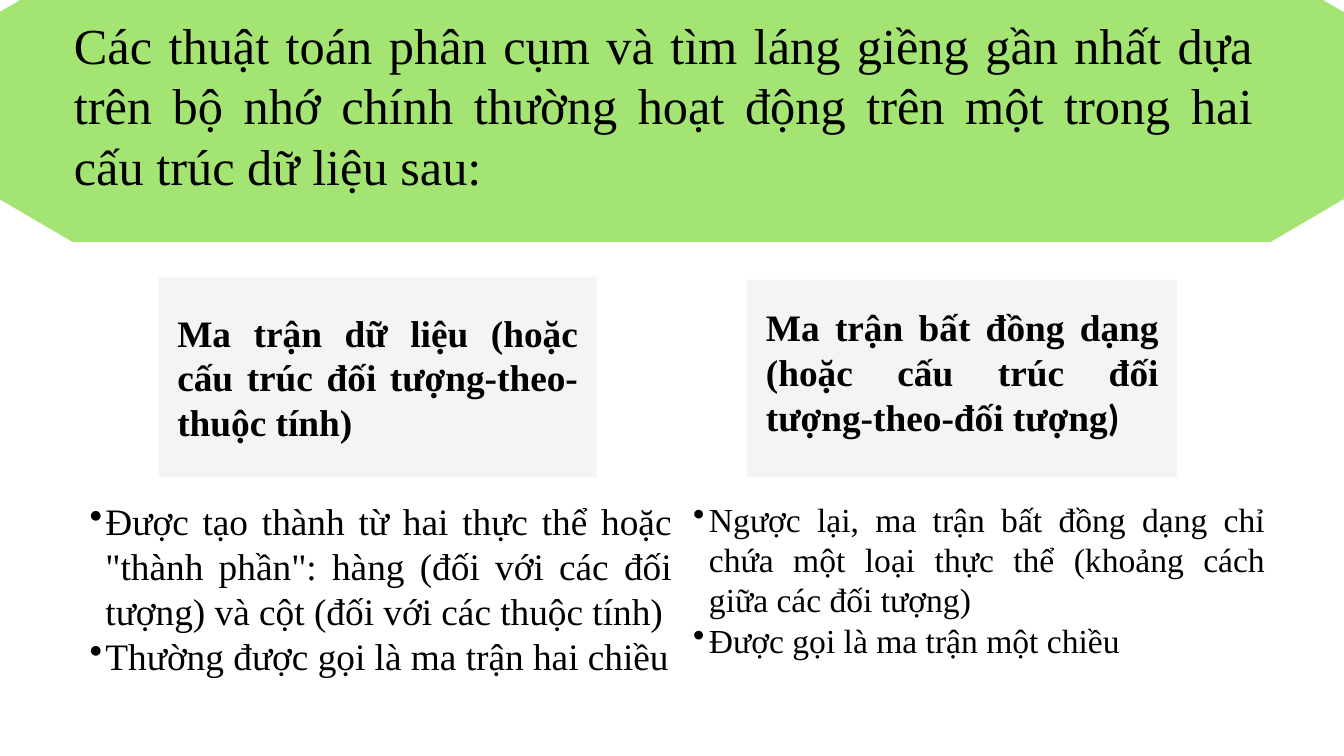
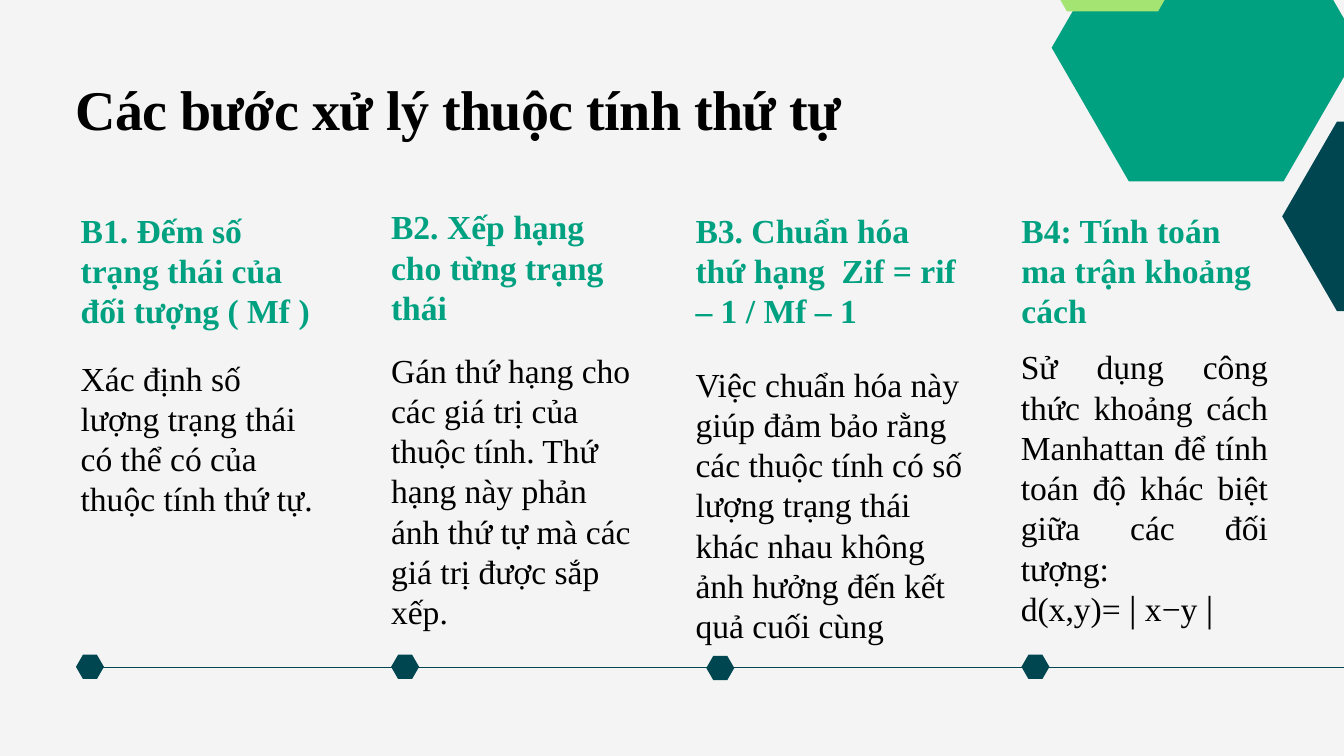
from dataclasses import dataclass

import lxml.etree
import pptx
import pptx.dml.color
import pptx.enum.shapes
import pptx.enum.text
import pptx.oxml.ns
import pptx.util

Pt = pptx.util.Pt
ALIGN = pptx.enum.text.PP_ALIGN
ANCHOR = pptx.enum.text.MSO_ANCHOR
AUTO_SIZE = pptx.enum.text.MSO_AUTO_SIZE

# Shared look
WIDTH, HEIGHT = 1440, 810
SERIF, SANS = "Times New Roman", "Calibri"
BLACK, WHITE, GREY = "000000", "FFFFFF", "F4F4F4"
LIME, GREEN, TEAL = "A4E473", "00A181", "004651"


@dataclass(frozen=True)
class Box:
    left: float
    top: float
    width: float
    height: float


@dataclass(frozen=True)
class Style:
    size: float
    color: str = BLACK
    bold: bool = False
    align: ALIGN = ALIGN.LEFT
    line_spacing: float | None = None
    tracking: float = 0
    bullet: bool = False
    inset: float = 0
    anchor: ANCHOR = ANCHOR.TOP
    auto_size: AUTO_SIZE = AUTO_SIZE.SHAPE_TO_FIT_TEXT


@dataclass(frozen=True)
class Run:
    text: str
    font: str = SERIF


@dataclass(frozen=True)
class Hexagon:
    box: Box
    color: str
    corner: float = 0.25  # share of the width taken by each slanted side


@dataclass(frozen=True)
class Structure:
    card: Box
    label_box: Box
    label: tuple[Run, ...]
    points_box: Box
    points_style: Style
    points: tuple[str, ...]


@dataclass(frozen=True)
class Step:
    heading_box: Box
    heading: str
    body_box: Box
    body: str
    body_style: Style
    marker_top: float = 701.5


INTRO = Style(54, align=ALIGN.JUSTIFY)
LABEL = Style(40, bold=True, align=ALIGN.JUSTIFY, inset=20,
              anchor=ANCHOR.MIDDLE, auto_size=AUTO_SIZE.NONE)
POINTS_LARGE = Style(40, align=ALIGN.JUSTIFY, bullet=True)
POINTS_SMALL = Style(36, align=ALIGN.JUSTIFY, bullet=True)
TITLE = Style(60, bold=True, line_spacing=72, tracking=-0.6)
HEADING = Style(36, GREEN, bold=True, line_spacing=43.2)
BODY = Style(36)
BODY_JUSTIFIED = Style(36, align=ALIGN.JUSTIFY)


def rgb(color: str) -> pptx.dml.color.RGBColor:
    return pptx.dml.color.RGBColor.from_string(color)


def apply(target, values: dict) -> None:
    for name, value in values.items():
        setattr(target, name, value)


def place(box: Box) -> tuple:
    return Pt(box.left), Pt(box.top), Pt(box.width), Pt(box.height)


def paint(shape, color: str) -> None:
    shape.shadow.inherit = False
    shape.fill.solid()
    shape.fill.fore_color.rgb = rgb(color)
    shape.line.fill.background()


def new_slide(deck, background: str):
    slide = deck.slides.add_slide(deck.slide_layouts[6])
    slide.background.fill.solid()
    slide.background.fill.fore_color.rgb = rgb(background)
    return slide


def add_bullet(paragraph) -> None:
    properties = paragraph._p.get_or_add_pPr()
    properties.set("marL", str(Pt(33.8)))
    properties.set("indent", str(-Pt(16.9)))
    mark = lxml.etree.SubElement(properties, pptx.oxml.ns.qn("a:buChar"))
    mark.set("char", "•")


def write(frame, paragraphs: list[tuple[Run, ...]], style: Style) -> None:
    margins = ("margin_left", "margin_top", "margin_right", "margin_bottom")
    apply(frame, dict.fromkeys(margins, Pt(style.inset)))
    apply(frame, {"word_wrap": True, "auto_size": style.auto_size,
                  "vertical_anchor": style.anchor})
    for index, runs in enumerate(paragraphs):
        paragraph = frame.add_paragraph() if index else frame.paragraphs[0]
        paragraph.alignment = style.align
        if style.line_spacing:
            paragraph.line_spacing = Pt(style.line_spacing)
        if style.bullet:
            add_bullet(paragraph)
        for part in runs:
            run = paragraph.add_run()
            run.text = part.text
            apply(run.font, {"name": part.font, "size": Pt(style.size), "bold": style.bold})
            run.font.color.rgb = rgb(style.color)
            if style.tracking:
                run.font._element.set("spc", str(round(style.tracking * 100)))


def add_text(slide, box: Box, style: Style, *runs: Run) -> None:
    write(slide.shapes.add_textbox(*place(box)).text_frame, [runs], style)


def add_panel(slide, box: Box, color: str):
    panel = slide.shapes.add_shape(pptx.enum.shapes.MSO_SHAPE.RECTANGLE, *place(box))
    paint(panel, color)
    return panel


def add_hexagon(slide, hexagon: Hexagon) -> None:
    box = hexagon.box
    right, bottom = box.left + box.width, box.top + box.height
    middle, slant = box.top + box.height / 2, box.width * hexagon.corner
    builder = slide.shapes.build_freeform(Pt(right), Pt(middle))
    builder.add_line_segments([(Pt(x), Pt(y)) for x, y in (
        (right - slant, bottom), (box.left + slant, bottom), (box.left, middle),
        (box.left + slant, box.top), (right - slant, box.top))])
    paint(builder.convert_to_shape(), hexagon.color)


def add_timeline(slide, left: float, y: float) -> None:
    timeline = slide.shapes.add_connector(
        pptx.enum.shapes.MSO_CONNECTOR.STRAIGHT, Pt(left), Pt(y), Pt(WIDTH), Pt(y))
    timeline.line.color.rgb = rgb(TEAL)
    timeline.line.width = Pt(1.5)
    lxml.etree.SubElement(timeline._element.spPr, pptx.oxml.ns.qn("a:effectLst"))


# Slide 1: the two data structures
BAND = Hexagon(Box(-171.4, -33.1, 1782, 292.6), LIME, corner=0.14)
STRUCTURES = (
    Structure(
        Box(169.9, 296.6, 469.4, 214.6), Box(169.9, 288.7, 469.4, 230.4),
        (Run("Ma trận dữ liệu (hoặc cấu trúc đối tượng-theo-thuộc tính)"),),
        Box(79.2, 534.2, 640.8, 193.7), POINTS_LARGE,
        ('Được tạo thành từ hai thực thể hoặc "thành phần": hàng (đối với các '
         "đối tượng) và cột (đối với các thuộc tính)",
         "Thường được gọi là ma trận hai chiều")),
    Structure(
        Box(800.6, 299.5, 460.8, 211.7), Box(800.6, 284.4, 460.8, 226.8),
        (Run("Ma trận bất đồng dạng (hoặc cấu trúc đối tượng-theo-đối tượng"),
         Run(")", SANS)),
        Box(725.8, 534.2, 630, 174.2), POINTS_SMALL,
        ("Ngược lại, ma trận bất đồng dạng chỉ chứa một loại thực thể "
         "(khoảng cách giữa các đối tượng)",
         "Được gọi là ma trận một chiều")),
)


def build_structures(deck) -> None:
    slide = new_slide(deck, WHITE)
    add_hexagon(slide, BAND)
    add_text(slide, Box(79.2, 15.1, 1264.3, 196.6), INTRO, Run(
        "Các thuật toán phân cụm và tìm láng giềng gần nhất dựa trên bộ nhớ chính "
        "thường hoạt động trên một trong hai cấu trúc dữ liệu sau:"))
    for structure in STRUCTURES:
        add_panel(slide, structure.card, GREY)
        add_text(slide, structure.label_box, LABEL, *structure.label)
        points = add_panel(slide, structure.points_box, WHITE)
        write(points.text_frame, [(Run(point),) for point in structure.points],
              structure.points_style)


# Slide 2: the four steps
CORNER_HEXAGONS = (
    Hexagon(Box(1373.8, 130.3, 234.7, 203), TEAL),
    Hexagon(Box(1126.8, -92.2, 331.2, 286.6), GREEN),
    Hexagon(Box(1094.4, -157, 195.1, 169.2), LIME),
)
MARKER_LEFT, MARKER_STEP = 81.4, 337.68
STEPS = (
    Step(Box(86.4, 224.6, 265, 130.3), "B1. Đếm số trạng thái của đối tượng ( Mf )",
         Box(86.4, 383, 265, 198.7),
         "Xác định số lượng trạng thái có thể có của thuộc tính thứ tự.", BODY),
    Step(Box(419, 221, 265, 173.5), "B2. Xếp hạng cho từng trạng thái",
         Box(419, 374.4, 265, 331.2),
         "Gán thứ hạng cho các giá trị của thuộc tính. Thứ hạng này phản ánh "
         "thứ tự mà các giá trị được sắp xếp.", BODY),
    Step(Box(745.2, 224.6, 286.6, 173.5), "B3. Chuẩn hóa thứ hạng  Zif = rif – 1 / Mf – 1",
         Box(745.2, 389.4, 286.6, 305.4),
         "Việc chuẩn hóa này giúp đảm bảo rằng các thuộc tính có số lượng trạng thái "
         "khác nhau không ảnh hưởng đến kết quả cuối cùng", BODY, marker_top=702.7),
    Step(Box(1094.4, 224.6, 265, 135.4), "B4: Tính toán ma trận khoảng cách",
         Box(1093.7, 370.8, 265, 334.8),
         "Sử dụng công thức khoảng cách Manhattan để tính toán độ khác biệt "
         "giữa các đối tượng: d(x,y)=∣x−y∣", BODY_JUSTIFIED),
)


def build_steps(deck) -> None:
    slide = new_slide(deck, GREY)
    add_timeline(slide, 100, 715)
    add_text(slide, Box(80.6, 79.9, 913.7, 72.7), TITLE,
             Run("Các bước xử lý thuộc tính thứ tự"))
    for index, step in enumerate(STEPS):
        add_text(slide, step.heading_box, HEADING, Run(step.heading))
        add_text(slide, step.body_box, step.body_style, Run(step.body))
        marker = Box(MARKER_LEFT + index * MARKER_STEP, step.marker_top, 30, 26)
        add_hexagon(slide, Hexagon(marker, TEAL))
    for hexagon in CORNER_HEXAGONS:
        add_hexagon(slide, hexagon)


def main() -> None:
    deck = pptx.Presentation()
    apply(deck, {"slide_width": Pt(WIDTH), "slide_height": Pt(HEIGHT)})
    build_structures(deck)
    build_steps(deck)
    deck.save("out.pptx")


if __name__ == "__main__":
    main()
